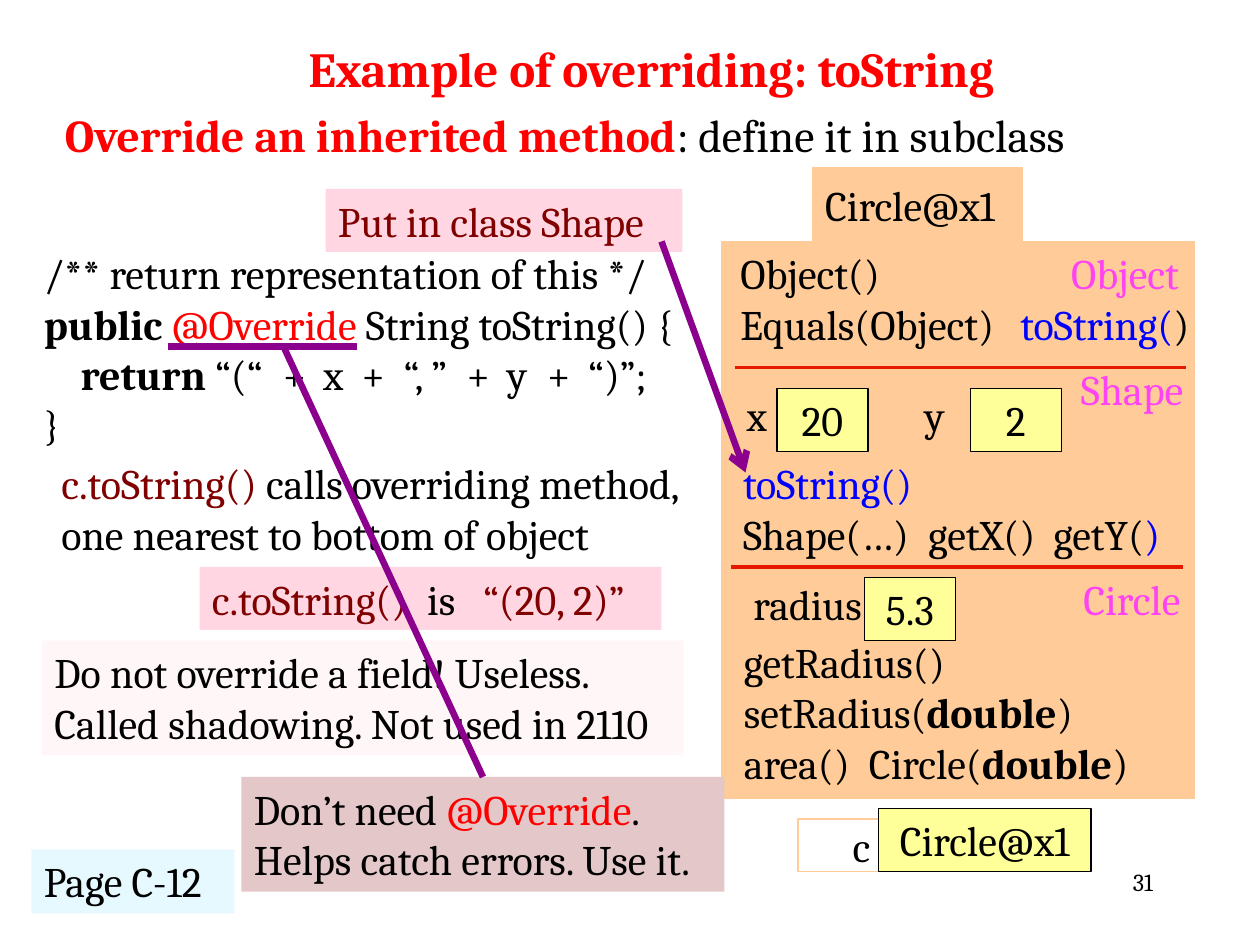
from lxml import etree
from pptx import Presentation
from pptx.dml.color import RGBColor
from pptx.enum import shapes, text
from pptx.oxml import ns
from pptx.util import Pt

FONT = "Cambria"
BLACK, RED, BLUE = "000000", "FF0000", "0000FF"
MAROON, PINK, PURPLE = "800000", "FF42F4", "8B008C"
PEACH, YELLOW, ROSE = "FFCC99", "FFFF99", "FFD6E2"
RULE = "E41900"
MIDDLE = text.MSO_ANCHOR.MIDDLE
TOP = text.MSO_ANCHOR.TOP
LEFT, CENTER, RIGHT = text.PP_ALIGN.LEFT, text.PP_ALIGN.CENTER, text.PP_ALIGN.RIGHT


def rgb(value):
    return RGBColor.from_string(value)


def add_child(parent, tag, **attributes):
    return etree.SubElement(parent, ns.qn(tag), attributes)


def set_attributes(target, values):
    for name, value in values.items():
        setattr(target, name, value)


def set_tabs(paragraph, stops):
    tab_list = add_child(paragraph._p.get_or_add_pPr(), "a:tabLst")
    for stop in stops:
        add_child(tab_list, "a:tab", pos=str(Pt(stop)), algn="l")


def write(frame, lines, size=24, align=LEFT, anchor=TOP, wrap=True, tabs=()):
    set_attributes(frame, {"word_wrap": wrap, "vertical_anchor": anchor,
                           "auto_size": text.MSO_AUTO_SIZE.NONE})
    for index, line in enumerate(lines):
        paragraph = frame.add_paragraph() if index else frame.paragraphs[0]
        paragraph.alignment = align
        if tabs and any("\t" in words for words, *_ in line):
            set_tabs(paragraph, tabs)
        for words, color, *bold in line:
            run = paragraph.add_run()
            run.text = words
            set_attributes(run.font, {"name": FONT, "size": Pt(size), "bold": bool(bold)})
            run.font.color.rgb = rgb(color)


def add_text(slide, box, lines, **format_values):
    label = slide.shapes.add_textbox(*map(Pt, box))
    write(label.text_frame, lines, **format_values)


def add_box(slide, box, lines=(), fill=None, line=None, width=0.75, alpha=None,
            **format_values):
    panel = slide.shapes.add_shape(shapes.MSO_SHAPE.RECTANGLE, *map(Pt, box))
    panel.shadow.inherit = False
    if fill:
        panel.fill.solid()
        panel.fill.fore_color.rgb = rgb(fill)
    else:
        panel.fill.background()
    if alpha:
        color = panel._element.spPr.find(".//" + ns.qn("a:srgbClr"))
        add_child(color, "a:alpha", val=str(alpha * 1000))
    if line:
        panel.line.color.rgb = rgb(line)
        panel.line.width = Pt(width)
    else:
        panel.line.fill.background()
    write(panel.text_frame, lines, **format_values)


def add_name(slide, box, name, fill=PEACH):
    add_box(slide, box, [[(name, BLACK)]], fill, PEACH, 0,
            align=CENTER, anchor=MIDDLE, wrap=False)


def add_value(slide, left, top, value, width=52):
    add_box(slide, (left, top, width, 36), [[(value, BLACK)]], YELLOW, BLACK,
            align=CENTER, anchor=MIDDLE, wrap=False)


def add_line(slide, ends, color, width, arrow=False):
    connector = slide.shapes.add_connector(shapes.MSO_CONNECTOR.STRAIGHT, *map(Pt, ends))
    connector.line.color.rgb = rgb(color)
    connector.line.width = Pt(width)
    if arrow:
        add_child(connector.line._get_or_add_ln(), "a:tailEnd", type="arrow")
    add_child(connector._element.spPr, "a:effectLst")


def add_headings(slide):
    title = slide.shapes.title
    set_attributes(title, {"left": Pt(144), "top": Pt(18), "width": Pt(456), "height": Pt(42)})
    write(title.text_frame, [[("Example of overriding: toString", RED, True)]],
          size=28, align=CENTER, anchor=MIDDLE)
    add_text(slide, (516, 492, 150, 36), [[("31", BLACK)]], size=14, align=RIGHT)
    add_text(slide, (30, 57.6, 654, 39),
             [[("Override an inherited method", RED, True),
               (": define it in subclass", BLACK)]], size=26)


def add_object(slide):
    add_box(slide, (412.5, 138, 270, 318.5), fill=PEACH, line=PEACH)
    add_box(slide, (464.4, 96, 120, 42), [[("Circle@x1", BLACK)]], PEACH, PEACH,
            anchor=MIDDLE)
    add_name(slide, (412.5, 330, 98, 30), "radius")
    add_box(slide, (418, 360, 252, 96),
            [[("getRadius()", BLACK)],
             [("setRadius(", BLACK), ("double", BLACK, True), (")", BLACK)],
             [("area()\tCircle(", BLACK), ("double", BLACK, True), (")", BLACK)]],
            PEACH, PEACH, 0, tabs=[71.5])
    add_line(slide, (418, 324, 676, 324), RULE, 2)
    for left, name, value_left, value in ((414.5, "x", 444, "20"), (516, "y", 554.5, "2")):
        add_name(slide, (left, 222, 36, 30), name)
        add_value(slide, value_left, 222, value)
    add_value(slide, 494, 330, "5.3")
    add_text(slide, (417.5, 258, 265, 65.5),
             [[("toString()", BLUE)],
              [("Shape(…)\tgetX()\tgetY(", BLACK), (")", BLUE)]], tabs=[106, 177.5])
    add_line(slide, (420, 210, 678, 210), RULE, 2)
    add_text(slide, (416, 138, 274, 65.5),
             [[("Object()", BLACK)],
              [("Equals(Object)\t", BLACK), ("toString(", BLUE), (")", BLACK)]],
             tabs=[160])
    for left, top, name in ((605, 138, "Object"), (610.5, 204, "Shape"), (612, 324, "Circle")):
        add_text(slide, (left, top, 79, 36), [[(name, PINK)]])


def add_variable(slide):
    add_name(slide, (456, 468, 72.5, 30), "c", None)
    add_value(slide, 502, 462, "Circle@x1", 121.5)


def add_code(slide):
    add_text(slide, (18, 138, 387, 124),
             [[("/** return representation of this */", BLACK)],
              [("public ", BLACK, True), ("@Override ", RED), ("String toString() {", BLACK)],
              [("\t", BLACK), ("return", BLACK, True),
               (" “(“\t+\tx\t+\t“, ”\t+\ty\t+\t“)”;", BLACK)],
              [("}", BLACK)]],
             tabs=[21, 136.5, 159.5, 181.5, 205.5, 241.5, 264.5, 287.5, 311])
    add_box(slide, (186, 108, 204, 36), [[("Put in class Shape", MAROON)]], ROSE)
    add_line(slide, (378, 138, 426, 270), PURPLE, 3.75, arrow=True)


def add_remarks(slide):
    add_text(slide, (28, 258, 368, 65.5),
             [[("c.toString() ", MAROON), ("calls overriding method,", BLACK)],
              [("one nearest to bottom of object", BLACK)]], wrap=False)
    add_box(slide, (114, 324, 264, 36),
            [[("c.toString()\t", MAROON), ("is\t", BLACK), ("“(20, 2)”", MAROON)]],
            ROSE, tabs=[123, 155])
    add_box(slide, (24, 366, 366.5, 65.5),
            [[("Do not override a field! Useless.", BLACK)],
             [("Called shadowing. Not used in 2110", BLACK)]], ROSE, alpha=21)
    add_box(slide, (18, 485.5, 116, 36.5), [[("Page C-12", BLACK)]], "E5F9FF")
    add_box(slide, (138, 444, 276, 65.5),
            [[("Don’t need ", BLACK), ("@Override", RED), (".", BLACK)],
             [("Helps catch errors. Use it.", BLACK)]], "E4C7C8")
    add_line(slide, (276, 444, 162, 198), PURPLE, 3.75)
    add_line(slide, (204, 198, 96, 198), PURPLE, 3.75)


def main():
    deck = Presentation()
    set_attributes(deck, {"slide_width": Pt(720), "slide_height": Pt(540)})
    slide = deck.slides.add_slide(deck.slide_layouts[5])
    for add_part in (add_headings, add_object, add_variable, add_code, add_remarks):
        add_part(slide)
    deck.save("out.pptx")


if __name__ == "__main__":
    main()
